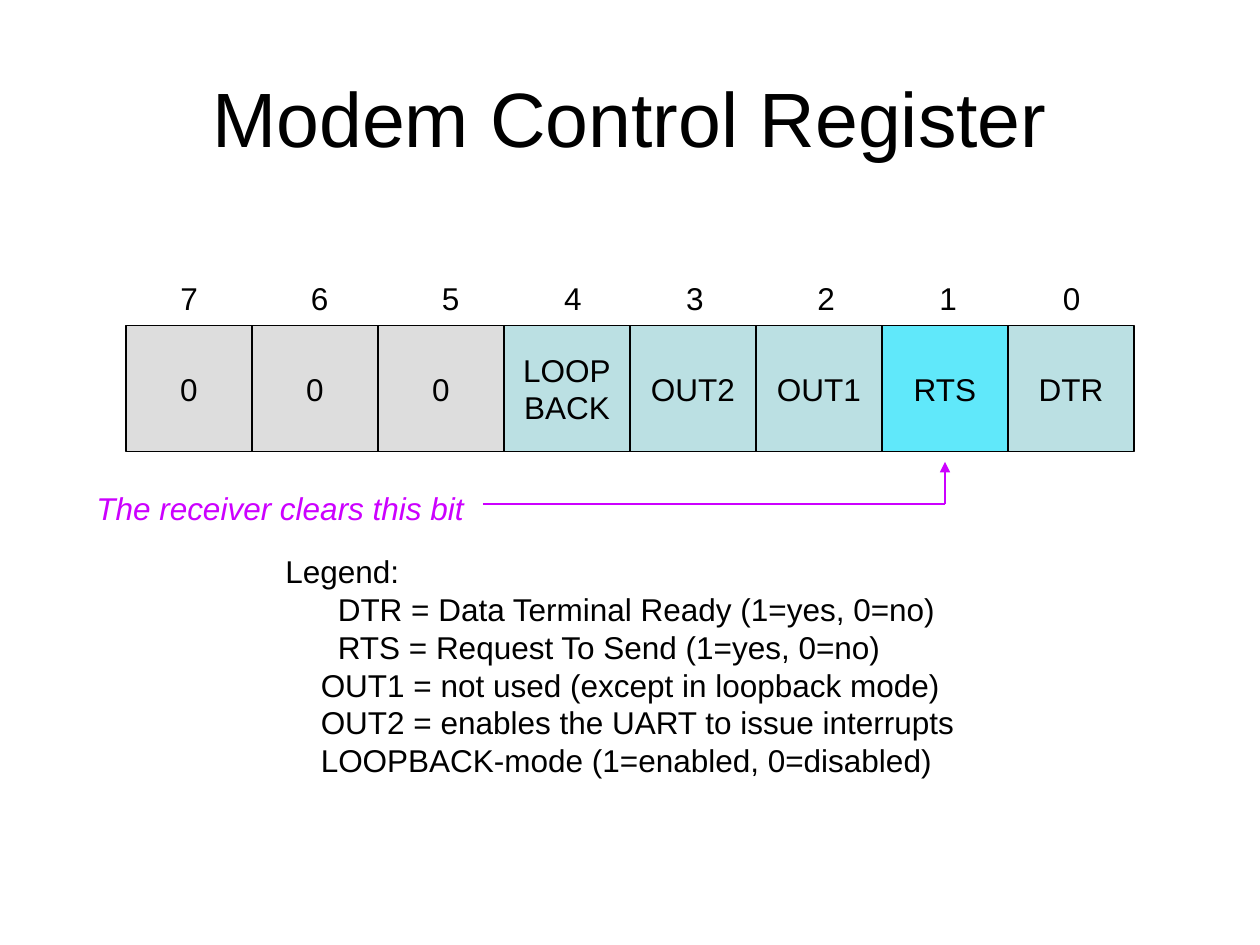
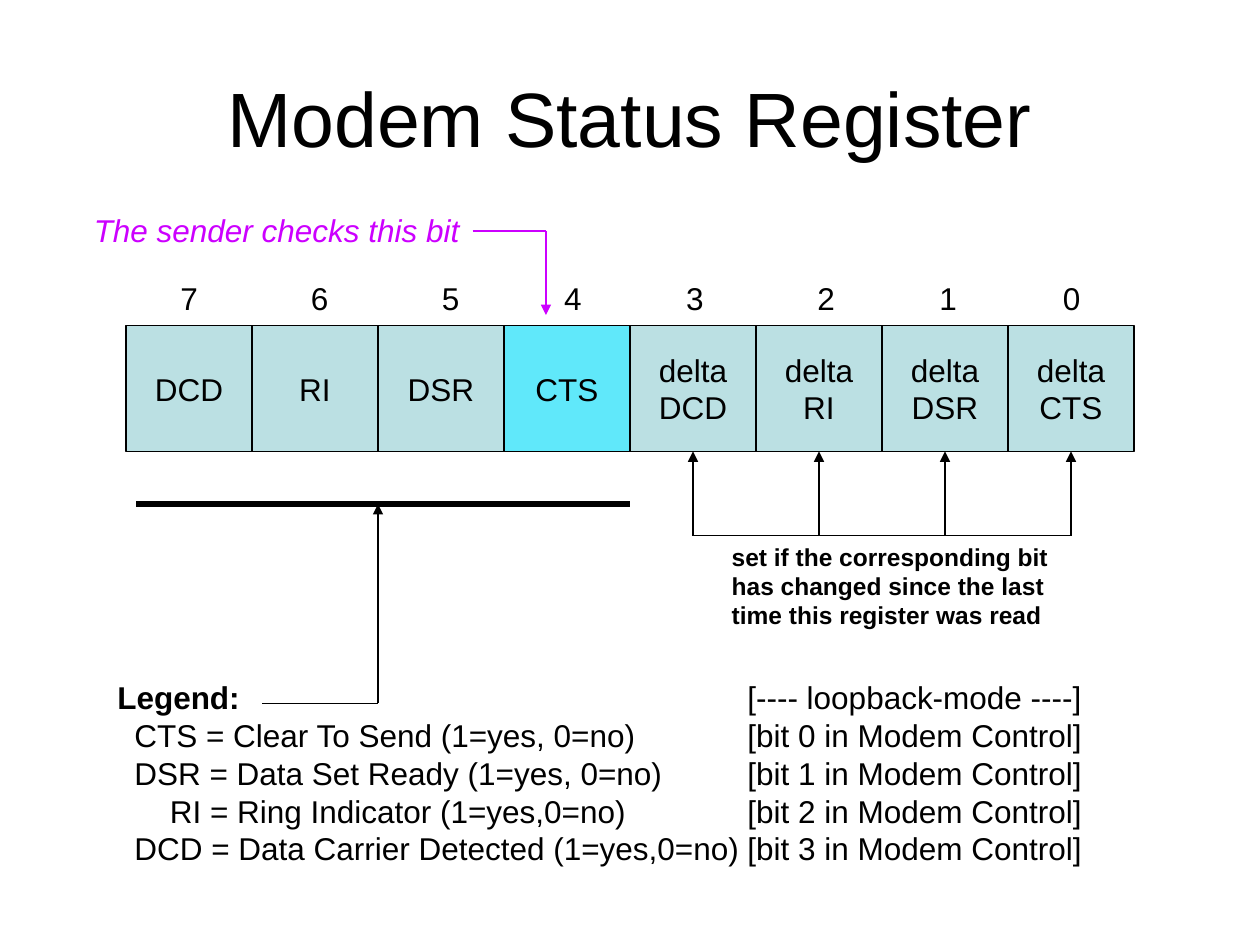
"""Builds two slides on the modem control and status registers."""
import pptx
import pptx.dml.color
import pptx.enum.shapes
import pptx.enum.text
import pptx.oxml.ns
import pptx.util
from lxml import etree

PX = 9525
BLACK = pptx.dml.color.RGBColor(0x00, 0x00, 0x00)
GRAY = pptx.dml.color.RGBColor(0xDD, 0xDD, 0xDD)
TEAL = pptx.dml.color.RGBColor(0xBB, 0xE0, 0xE3)
CYAN = pptx.dml.color.RGBColor(0x60, 0xE8, 0xFA)
MAGENTA = pptx.dml.color.RGBColor(0xCC, 0x00, 0xFF)

CELL = 96
ROW_TOP = 248
ROW_BOTTOM = ROW_TOP + CELL
BIT_TABS = (106, 206, 299, 392, 492, 585, 679)
LOOPBACK_TAB = 480

ALIGN = pptx.enum.text.PP_ALIGN
ANCHOR = pptx.enum.text.MSO_ANCHOR
SHAPE = pptx.enum.shapes.MSO_SHAPE
STRAIGHT = pptx.enum.shapes.MSO_CONNECTOR.STRAIGHT


def px(*lengths):
    return [pptx.util.Emu(n * PX) for n in lengths]


def add_child(parent, tag, **attrs):
    return etree.SubElement(parent, pptx.oxml.ns.qn(tag), attrs)


class Deck:
    def __init__(self, font="Arial", size=18):
        self.font, self.size = font, size
        self.prs = pptx.Presentation()
        self.prs.slide_width, self.prs.slide_height = px(960, 720)
        self.s = None

    def slide(self, title):
        self.s = self.prs.slides.add_slide(self.prs.slide_layouts[6])
        self.text((48, 29, 864, 120), [title], size=44, align=ALIGN.CENTER,
                  anchor=ANCHOR.MIDDLE, wrap=True)

    def set_lines(self, tf, lines, size=None, color=BLACK, bold=False, italic=False,
                  align=ALIGN.LEFT, anchor=ANCHOR.TOP, wrap=False, tabs=(), tab_align="l"):
        tf.word_wrap = wrap
        tf.vertical_anchor = anchor
        for i, line in enumerate(lines):
            p = tf.paragraphs[0] if i == 0 else tf.add_paragraph()
            p.text = line
            p.alignment = align
            if tabs:
                stops = add_child(p._p.get_or_add_pPr(), "a:tabLst")
                for stop in tabs[i]:
                    add_child(stops, "a:tab", pos=str(stop * PX), algn=tab_align)
            f = p.font
            f.name, f.size = self.font, pptx.util.Pt(size or self.size)
            f.color.rgb, f.bold, f.italic = color, bold, italic
        return tf

    def text(self, box, lines, **style):
        sp = self.s.shapes.add_textbox(*px(*box))
        return self.set_lines(sp.text_frame, lines, **style)

    def note(self, box, line):
        self.text(box, [line], color=MAGENTA, italic=True)

    def cell(self, x, label, fill):
        sp = self.s.shapes.add_shape(SHAPE.RECTANGLE, *px(x, ROW_TOP, CELL, CELL))
        sp.shadow.inherit = False
        sp.fill.solid()
        sp.fill.fore_color.rgb = fill
        sp.line.color.rgb = BLACK
        sp.line.width = pptx.util.Pt(0.75)
        self.set_lines(sp.text_frame, label.split("\n"), align=ALIGN.CENTER,
                       anchor=ANCHOR.MIDDLE)

    def register(self, cells):
        for i, (label, fill) in enumerate(cells):
            self.cell(CELL * (i + 1), label, fill)
        self.text((128, 208, 706, 38), ["\t".join("76543210")], tabs=[BIT_TABS],
                  tab_align="ctr")

    def line(self, start, end, color=BLACK, width=0.75, arrow=False):
        c = self.s.shapes.add_connector(STRAIGHT, *px(*start, *end))
        c.line.color.rgb = color
        c.line.width = pptx.util.Pt(width)
        if arrow:
            add_child(c.line._get_or_add_ln(), "a:tailEnd", type="triangle")
        add_child(c._element.spPr, "a:effectLst")

    def elbow(self, start, corner, end, color=BLACK):
        self.line(start, corner, color)
        self.line(corner, end, color, arrow=True)


def control_register(deck):
    deck.slide("Modem Control Register")
    deck.register([("0", GRAY)] * 3 + [
        ("LOOP\nBACK", TEAL), ("OUT2", TEAL), ("OUT1", TEAL), ("RTS", CYAN), ("DTR", TEAL)])
    deck.text((208, 416, 529, 182), [
        "Legend:",
        "\tDTR = Data Terminal Ready (1=yes, 0=no)",
        "\tRTS = Request To Send (1=yes, 0=no)",
        "\tOUT1 = not used (except in loopback mode)",
        "\tOUT2 = enables the UART to issue interrupts",
        "\tLOOPBACK-mode (1=enabled, 0=disabled)",
    ], tabs=[(indent,) for indent in (27, 40, 40, 27, 27, 27)])
    deck.note((64, 368, 300, 38), "The receiver clears this bit")
    deck.elbow((368, 384), (720, 384), (720, 352), MAGENTA)


def status_register(deck):
    deck.slide("Modem Status Register")
    signals = ["DCD", "RI", "DSR", "CTS"]
    deck.register([(name, CYAN if name == "CTS" else TEAL) for name in signals]
                  + [("delta\n" + name, TEAL) for name in signals])

    delta_centers = [CELL * i + CELL // 2 for i in range(5, 9)]
    for x in delta_centers:
        deck.line((x, 408), (x, ROW_BOTTOM), arrow=True)
    deck.line((delta_centers[0], 408), (delta_centers[-1], 408))
    deck.text((548, 408, 263, 78), [
        "set if the corresponding bit",
        "has changed since the last",
        "time this register was read",
    ], size=14, bold=True)

    meanings = ["CTS = Clear To Send (1=yes, 0=no)", "DSR = Data Set Ready (1=yes, 0=no)",
                "RI = Ring Indicator (1=yes,0=no)", "DCD = Data Carrier Detected (1=yes,0=no)"]
    rows = [f"\t{m}\t[bit {i} in Modem Control]" for i, m in enumerate(meanings)]
    tf = deck.text((80, 512, 754, 154), ["Legend:"] + rows,
                   tabs=[(indent, LOOPBACK_TAB) for indent in (13, 13, 13, 40, 13)])
    p = tf.paragraphs[0]
    p.runs[0].font.bold = True
    r = p.add_run()
    r.text = "\t[---- loopback-mode ----]"

    deck.line((104, 384), (480, 384), width=3)
    deck.elbow((200, 536), (288, 536), (288, 384))
    deck.note((62, 156, 298, 38), "The sender checks this bit")
    deck.elbow((360, 176), (416, 176), (416, 240), MAGENTA)


def main():
    deck = Deck()
    control_register(deck)
    status_register(deck)
    deck.prs.save("out.pptx")


if __name__ == "__main__":
    main()
